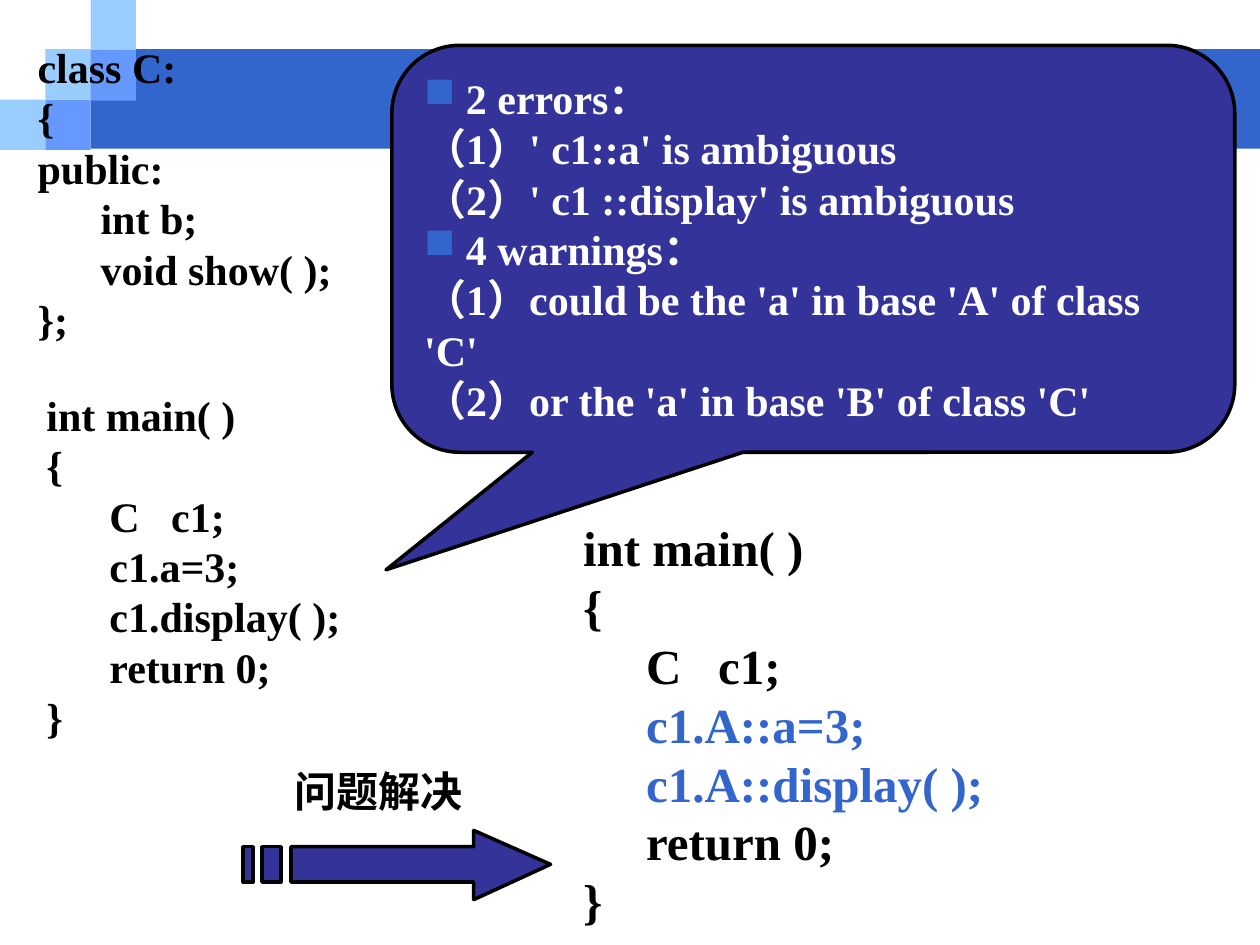
from typing import NamedTuple

from lxml import etree
from pptx import Presentation
from pptx import util as u
from pptx.dml.color import RGBColor
from pptx.enum import shapes, text
from pptx.oxml import ns

BLUE = RGBColor(0x33, 0x66, 0xCC)
SKY = RGBColor(0x99, 0xCC, 0xFF)
MID = RGBColor(0x66, 0x99, 0xFF)
NAVY = RGBColor(0x33, 0x33, 0x99)
BLACK = RGBColor(0, 0, 0)
WHITE = RGBColor(255, 255, 255)
FONT = "Times New Roman"


class Box(NamedTuple):
    left: float
    top: float
    width: float
    height: float


class Tile(NamedTuple):
    box: Box
    color: RGBColor


class Run(NamedTuple):
    words: str
    color: RGBColor = BLACK


class Block(NamedTuple):
    box: Box
    size: int
    lines: list


SIDE = 0.36
TALL = 0.4
TILES = [
    Tile(Box(0.72, 0.39, 9.29, 0.79), BLUE),
    Tile(Box(0, 0.79, SIDE, TALL), SKY),
    Tile(Box(0.36, 0.39, SIDE, TALL), SKY),
    Tile(Box(0.72, 0, SIDE, TALL), SKY),
    Tile(Box(0.72, 0.4, SIDE, TALL), MID),
    Tile(Box(0.36, 0.79, SIDE, TALL), MID),
]

# A line is a list of runs, or a plain string for one black run.
CLASS = Block(Box(0.2, 0.28, 9.45, 2.5), 24, [
    [Run("class C: "), Run("public A, public B", BLUE)],
    "{", "public:", "\tint b;", "\tvoid show( );", "};",
])
WRONG = Block(Box(0.27, 3.04, 3.39, 2.9), 24, [
    "int main( )", "{", "\tC   c1;", "\tc1.a=3;",
    "\tc1.display( );", "\treturn 0;", "}",
])
FIXED = Block(Box(4.53, 4.06, 4.09, 3.37), 28, [
    "int main( )", "{", "\tC   c1;",
    [Run("\t"), Run("c1.A::a=3;", BLUE)],
    [Run("\tc1.A::display( );", BLUE)],
    "\treturn 0;", "}",
])
LABEL = Block(Box(2.24, 6.03, 1.65, 0.5), 24, ["问题解决"])

ERRORS = [
    " 2 errors：",
    "（1）' c1::a' is ambiguous",
    "（2）' c1 ::display' is ambiguous",
    " 4 warnings：",
    "（1）could be the 'a' in base 'A' of class 'C'",
    "（2）or the 'a' in base 'B' of class 'C'",
]

# Arrow outlines in hundredths of an inch.
HEAD = [(376, 659), (376, 672), (231, 672), (231, 700),
        (376, 700), (376, 714), (437, 686)]
STRIPES = [(208, 223), (193, 201)]


def place(box: Box) -> list:
    return [u.Inches(side) for side in box]


def paint(shape, fill: RGBColor, edge: RGBColor | None = None) -> None:
    shape.shadow.inherit = False
    shape.fill.solid()
    shape.fill.fore_color.rgb = fill
    if edge is None:
        shape.line.fill.background()
    else:
        shape.line.color.rgb = edge
        shape.line.width = u.Pt(2)


def style(font, size: int, color: RGBColor) -> None:
    font.name = FONT
    font.size = u.Pt(size)
    font.bold = True
    font.color.rgb = color


def bullet(para) -> None:
    """Put a blue square before the paragraph."""
    props = para._p.get_or_add_pPr()
    tint = etree.SubElement(props, ns.qn("a:buClr"))
    etree.SubElement(tint, ns.qn("a:srgbClr")).set("val", str(BLUE))
    etree.SubElement(props, ns.qn("a:buChar")).set("char", "■")


def add_tile(slide, tile: Tile) -> None:
    shape = slide.shapes.add_shape(
        shapes.MSO_SHAPE.RECTANGLE, *place(tile.box))
    paint(shape, tile.color)


def add_block(slide, block: Block) -> None:
    frame = slide.shapes.add_textbox(*place(block.box)).text_frame
    frame.word_wrap = True
    for i, line in enumerate(block.lines):
        para = frame.add_paragraph() if i else frame.paragraphs[0]
        for part in [Run(line)] if isinstance(line, str) else line:
            run = para.add_run()
            run.text = part.words
            style(run.font, block.size, part.color)


def add_callout(slide) -> None:
    shape = slide.shapes.add_shape(
        shapes.MSO_SHAPE.ROUNDED_RECTANGULAR_CALLOUT,
        *place(Box(3.11, 0.36, 6.69, 3.23)))
    for i, value in enumerate((-0.507, 0.789, 0.167)):
        shape.adjustments[i] = value
    paint(shape, NAVY, BLACK)
    frame = shape.text_frame
    frame.word_wrap = True
    frame.vertical_anchor = text.MSO_ANCHOR.MIDDLE
    frame.text = "\n".join(ERRORS)
    for para in frame.paragraphs:
        para.alignment = text.PP_ALIGN.LEFT
        if not para.text.startswith("（"):
            bullet(para)
        for run in para.runs:
            style(run.font, 24, WHITE)


def add_arrow(slide) -> None:
    form = slide.shapes.build_freeform(*HEAD[0], scale=u.Inches(0.01))
    form.add_line_segments(HEAD[1:], close=True)
    for left, right in STRIPES:
        form.move_to(left, 672)
        form.add_line_segments(
            [(left, 700), (right, 700), (right, 672)], close=True)
    paint(form.convert_to_shape(), NAVY, BLACK)


def main() -> None:
    deck = Presentation()
    deck.slide_width, deck.slide_height = u.Inches(10), u.Inches(7.5)
    slide = deck.slides.add_slide(deck.slide_layouts[6])
    for tile in TILES:
        add_tile(slide, tile)
    add_block(slide, CLASS)
    add_block(slide, WRONG)
    add_callout(slide)
    add_arrow(slide)
    add_block(slide, FIXED)
    add_block(slide, LABEL)
    deck.save("out.pptx")


if __name__ == "__main__":
    main()
